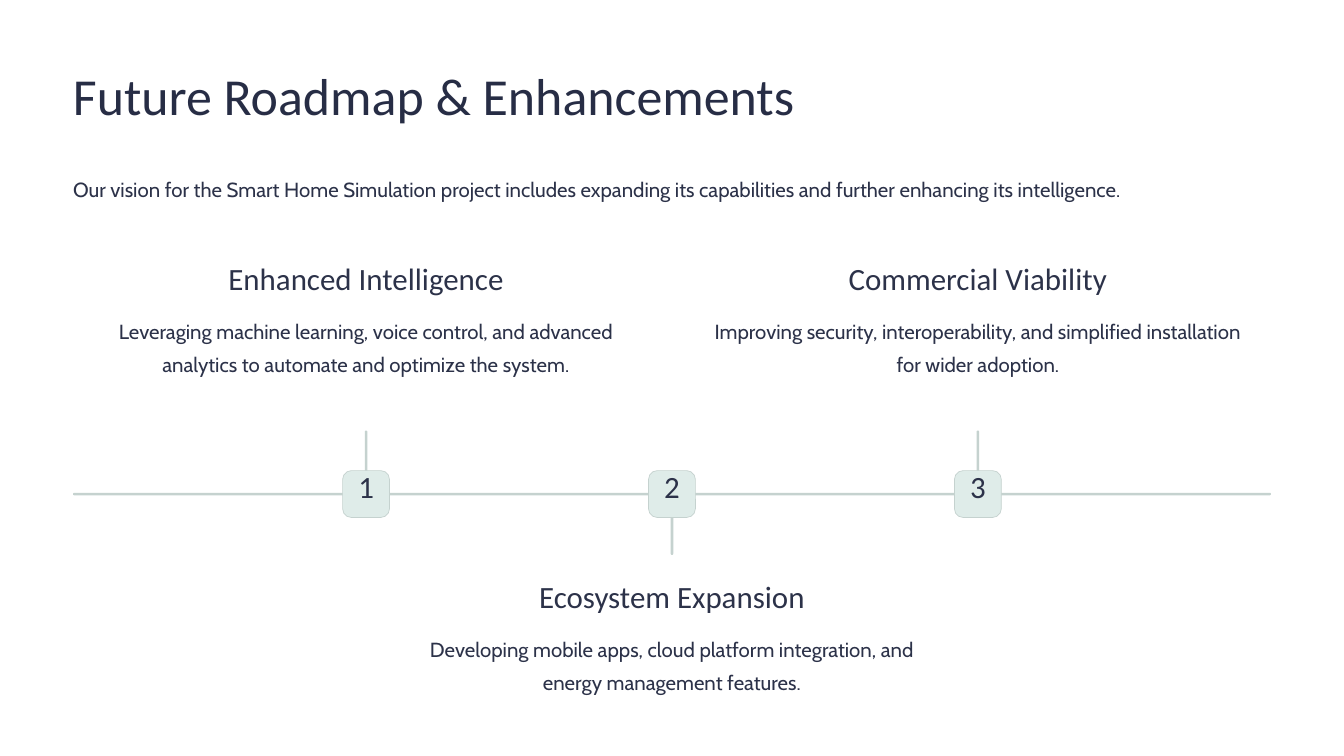
import pptx
import pptx.dml.color
import pptx.enum.shapes
import pptx.enum.text
import pptx.util

Pt = pptx.util.Pt
RGBColor = pptx.dml.color.RGBColor
ALIGN = pptx.enum.text.PP_ALIGN

# Content
TITLE = "Future Roadmap & Enhancements"
INTRO = ("Our vision for the Smart Home Simulation project includes expanding "
         "its capabilities and further enhancing its intelligence.")
# Heading, description, side of the timeline
MILESTONES = [
    ("Enhanced Intelligence",
     "Leveraging machine learning, voice control, and advanced analytics "
     "to automate and optimize the system.", "above"),
    ("Ecosystem Expansion",
     "Developing mobile apps, cloud platform integration, and energy "
     "management features.", "below"),
    ("Commercial Viability",
     "Improving security, interoperability, and simplified installation "
     "for wider adoption.", "above"),
]

# Style
TITLE_INK = RGBColor(0x27, 0x2D, 0x45)
INK = RGBColor(0x2C, 0x32, 0x49)
RAIL = RGBColor(0xC5, 0xD2, 0xCF)
BADGE = RGBColor(0xDF, 0xEC, 0xE9)
HEADING_FONT, BODY_FONT = "Calibri", "Cabin"

# Layout, in points
WIDTH, HEIGHT = 1152, 648
MARGIN = 62.6
CONTENT_WIDTH = WIDTH - 2 * MARGIN
RAIL_TOP, RAIL_THICK = 422.4, 2.2
RAIL_MIDDLE = RAIL_TOP + RAIL_THICK / 2
STEP = 262.2
STEM = 53.3
BADGE_SIZE = 40.2
HEADING_TOP = {"above": 221, "below": 493.9}
STEM_TOP = {"above": RAIL_TOP - STEM, "below": RAIL_TOP}

deck = pptx.Presentation()
deck.slide_width, deck.slide_height = Pt(WIDTH), Pt(HEIGHT)
page = deck.slides.add_slide(deck.slide_layouts[6])


def add_text(text, left, top, width, height, font, size, spacing,
             color=INK, align=ALIGN.CENTER, wrap=False):
    box = page.shapes.add_textbox(Pt(left), Pt(top), Pt(width), Pt(height))
    frame = box.text_frame
    frame.margin_left = frame.margin_right = 0
    frame.margin_top = frame.margin_bottom = 0
    frame.word_wrap = wrap
    frame.text = text
    para = frame.paragraphs[0]
    para.alignment = align
    para.line_spacing = Pt(spacing)
    span = para.runs[0]
    span.font.name = font
    span.font.size = Pt(size)
    span.font.color.rgb = color


def add_rounded(left, top, width, height, fill, radius=0.5, line=None):
    shape = page.shapes.add_shape(
        pptx.enum.shapes.MSO_SHAPE.ROUNDED_RECTANGLE,
        Pt(left), Pt(top), Pt(width), Pt(height))
    shape.adjustments[0] = radius
    shape.shadow.inherit = False
    shape.fill.solid()
    shape.fill.fore_color.rgb = fill
    if line is None:
        shape.line.fill.background()
    else:
        shape.line.color.rgb = line
        shape.line.width = Pt(0.6)


# Title and introduction
add_text(TITLE, MARGIN, 52.6, 667.4, 56.2, HEADING_FONT, 44.5, 55.5,
         color=TITLE_INK, align=ALIGN.LEFT)
add_text(INTRO, MARGIN, 144, CONTENT_WIDTH, 56.9, BODY_FONT, 17.5, 28.5,
         align=ALIGN.LEFT, wrap=True)

# Timeline
add_rounded(MARGIN, RAIL_TOP, CONTENT_WIDTH, RAIL_THICK, RAIL)

# Milestones, spread evenly around the middle of the page
for index, (heading, description, side) in enumerate(MILESTONES):
    center = WIDTH / 2 + (index - 1) * STEP
    top = HEADING_TOP[side]
    add_rounded(center - RAIL_THICK / 2, STEM_TOP[side], RAIL_THICK, STEM, RAIL)
    add_rounded(center - BADGE_SIZE / 2, RAIL_MIDDLE - BADGE_SIZE / 2,
                BADGE_SIZE, BADGE_SIZE, BADGE, radius=0.187, line=RAIL)
    add_text(str(index + 1), center - 13.4, 406.1, 26.8, 33.8,
             HEADING_FONT, 26.5, 26.5)
    add_text(heading, center - 134, top, 268, 33.8, HEADING_FONT, 26.5, 33)
    add_text(description, center - 233.3, top + 44.7, 466.6, 56.9,
             BODY_FONT, 17.5, 28.5, wrap=True)

deck.save("out.pptx")
